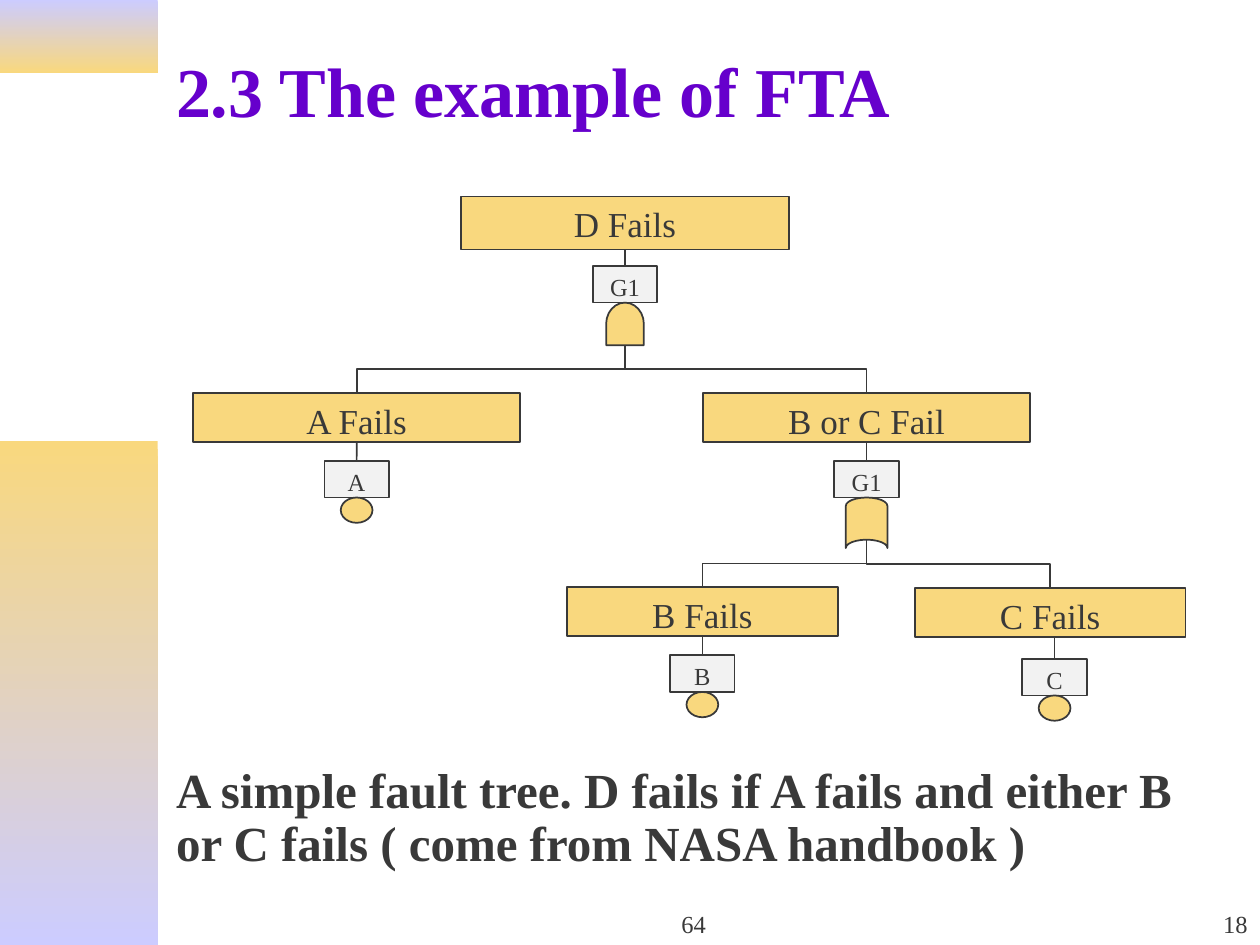
from lxml.etree import SubElement
from pptx import Presentation
from pptx.dml.color import RGBColor
from pptx.enum.shapes import MSO_CONNECTOR, MSO_SHAPE
from pptx.enum.text import MSO_ANCHOR, PP_ALIGN
from pptx.oxml.ns import qn
from pptx.util import Cm, Pt

FONT = "Times New Roman"
HUES = {"gold": "F9D87E", "lilac": "CCCCFF", "title": "6600CC",
        "ink": "393939", "tag": "F2F2F2"}
TAG_W, TAG_H = 1.3, 0.74
# Symbol kinds: preset, width and height before turning, turn in degrees
KINDS = {"and": (MSO_SHAPE.FLOWCHART_DELAY, 0.86, 0.76, 270),
         "or": (MSO_SHAPE.FLOWCHART_STORED_DATA, 1.02, 0.84, 90),
         "basic": (MSO_SHAPE.FLOWCHART_CONNECTOR, 0.64, 0.51, 0)}


def hue(name):
    return RGBColor.from_string(HUES[name])


def write(frame, text, size, color="ink", bold=False, align=PP_ALIGN.LEFT):
    para = frame.paragraphs[0]
    para.text = text
    para.alignment = align
    font = para.font
    font.name, font.size, font.bold = FONT, Pt(size), bold
    font.color.rgb = hue(color)
    return para


def label(slide, box, text, size, anchor, **style):
    frame = slide.shapes.add_textbox(*map(Cm, box)).text_frame
    frame.word_wrap = True
    frame.vertical_anchor = anchor
    return write(frame, text, size, **style)


def band(slide, box, first, last):
    """Add a bar that fades downward from the first colour to the last."""
    bar = slide.shapes.add_shape(MSO_SHAPE.RECTANGLE, *map(Cm, box))
    bar.shadow.inherit = False
    bar.line.fill.background()
    bar.fill.gradient()
    bar.fill.gradient_angle = 270
    for stop, name in zip(bar.fill.gradient_stops, (first, last)):
        stop.color.rgb = hue(name)


def block(slide, preset, box, fill="gold", text="", size=20):
    shape = slide.shapes.add_shape(preset, *map(Cm, box))
    shape.shadow.inherit = False
    shape.fill.solid()
    shape.fill.fore_color.rgb = hue(fill)
    shape.line.color.rgb = hue("ink")
    shape.line.width = Pt(1)
    if text:
        frame = shape.text_frame
        frame.word_wrap = False
        frame.vertical_anchor = MSO_ANCHOR.TOP
        write(frame, text, size, align=PP_ALIGN.CENTER)
    return shape


def link(slide, kind, *ends):
    line = slide.shapes.add_connector(kind, *map(Cm, ends))
    line.line.color.rgb = hue("ink")
    line.line.width = Pt(1)
    SubElement(line._element.spPr, qn("a:effectLst"))
    return line


def branch(slide, start, end):
    """Add an elbow that runs down, across and down again."""
    (x1, y1), (x2, y2) = start, end
    long, wide = y2 - y1, abs(x2 - x1)
    left, top = (x1 + x2 - long) / 2, (y1 + y2 - wide) / 2
    line = link(slide, MSO_CONNECTOR.ELBOW, left, top, left + long, top + wide)
    frame = line._element.spPr.find(qn("a:xfrm"))
    if x2 < x1:
        frame.set("rot", str(90 * 60000))
    else:
        frame.set("rot", str(270 * 60000))
        frame.set("flipH", "1")


def node(slide, box, text, code, kind, gap=0.38, shift=0):
    """Add an event, its tag and symbol; return its top and foot points."""
    left, top, wide, high = box
    mid = left + wide / 2
    axis, low = mid + shift, top + high
    event = block(slide, MSO_SHAPE.RECTANGLE, box, text=text)
    tag = block(slide, MSO_SHAPE.RECTANGLE,
                (axis - TAG_W / 2, low + gap, TAG_W, TAG_H), "tag", code, 14)
    stem = link(slide, MSO_CONNECTOR.STRAIGHT, axis, low, axis, low + gap)
    if not shift:
        stem.begin_connect(event, 2)
    stem.end_connect(tag, 0)

    preset, long, deep, turn = KINDS[kind]
    head = low + gap + TAG_H
    tall = long if turn else deep
    sign = block(slide, preset, (axis - long / 2, head + (tall - deep) / 2,
                                 long, deep))
    sign.rotation = turn
    dent = long / 6 if kind == "or" else 0
    return (mid, top), (axis, head + tall - dent)


def tree(slide, x, y):
    def event(dx, dy, wide, high, *rest, **more):
        return node(slide, (x + dx, y + dy, wide, high), *rest, **more)

    _, root = event(5.41, 0, 6.6, 1.07, "D Fails", "G1", "and", gap=0.33)
    a, _ = event(0, 3.96, 6.6, 0.99, "A Fails", "A", "basic")
    either, fork = event(10.28, 3.96, 6.6, 0.99, "B or C Fail", "G1", "or")
    b, _ = event(7.54, 7.88, 5.46, 0.99, "B Fails", "B", "basic")
    c, _ = event(14.55, 7.9, 5.46, 0.99, "C Fails", "C", "basic",
                 gap=0.43, shift=0.09)
    for start, end in ((root, a), (root, either), (fork, b), (fork, c)):
        branch(slide, start, end)


def side(slide, x, y, wide):
    band(slide, (x, y, wide, 1.47), "lilac", "gold")
    band(slide, (x, y + 8.89, wide, 10.16), "gold", "lilac")


def words(slide, x, y):
    label(slide, (x, y, 20.83, 3.05), "2.3 The example of FTA", 40,
          MSO_ANCHOR.MIDDLE, color="title", bold=True)
    para = label(slide, (x, y + 15.04, 20.62, 2.41),
                 "A simple fault tree. D fails if A fails and either B "
                 "or C fails ( come from NASA handbook )", 28,
                 MSO_ANCHOR.TOP, bold=True)
    para.line_spacing = 0.9
    para.space_before = Pt(7)


def footer(slide, y):
    for left, wide, text, align in ((9.96, 8.05, "64", PP_ALIGN.CENTER),
                                    (20.12, 5.28, "18", PP_ALIGN.RIGHT)):
        label(slide, (left, y, wide, 1.27), text, 14, MSO_ANCHOR.BOTTOM,
              align=align)


def main():
    deck = Presentation()
    deck.slide_width, deck.slide_height = Cm(25.4), Cm(19.05)
    slide = deck.slides.add_slide(deck.slide_layouts[6])
    side(slide, 0, 0, 3.18)
    words(slide, 3.3, 0.28)
    footer(slide, 17.78)
    tree(slide, 3.89, 3.96)
    deck.save("out.pptx")


if __name__ == "__main__":
    main()
